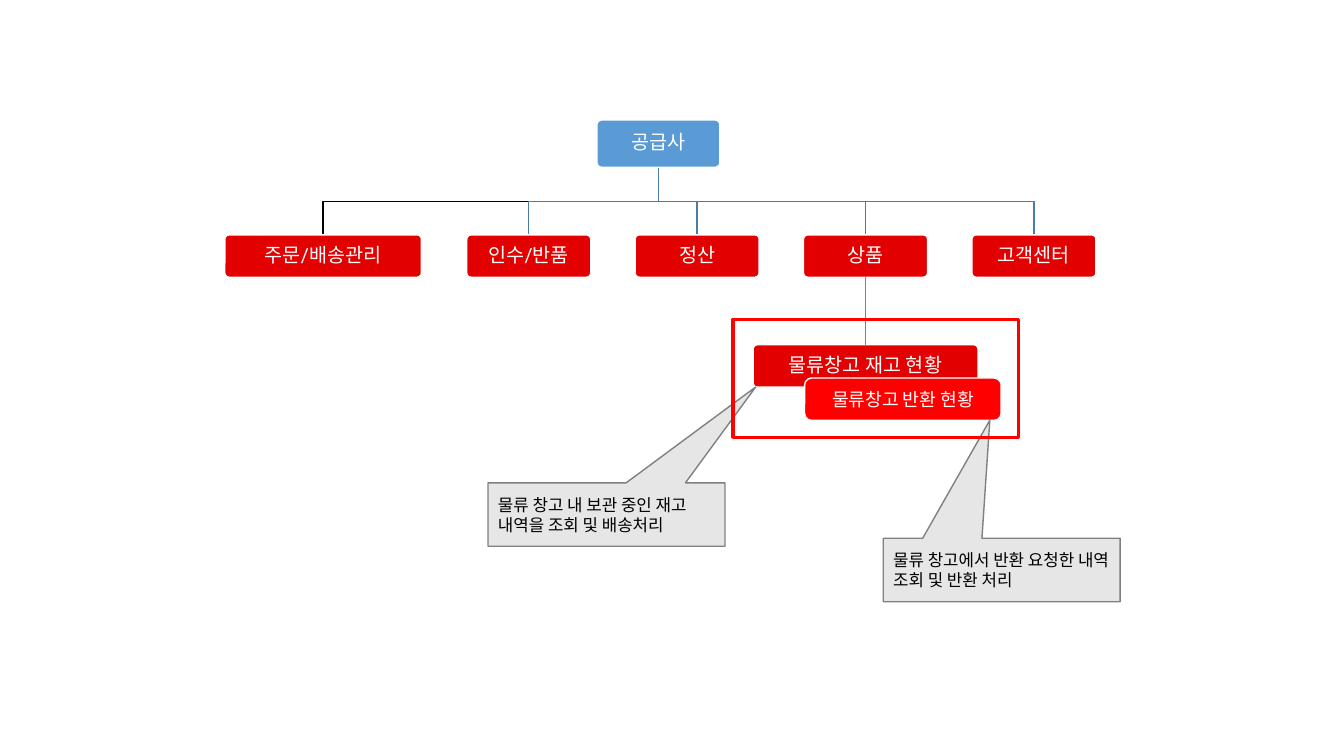
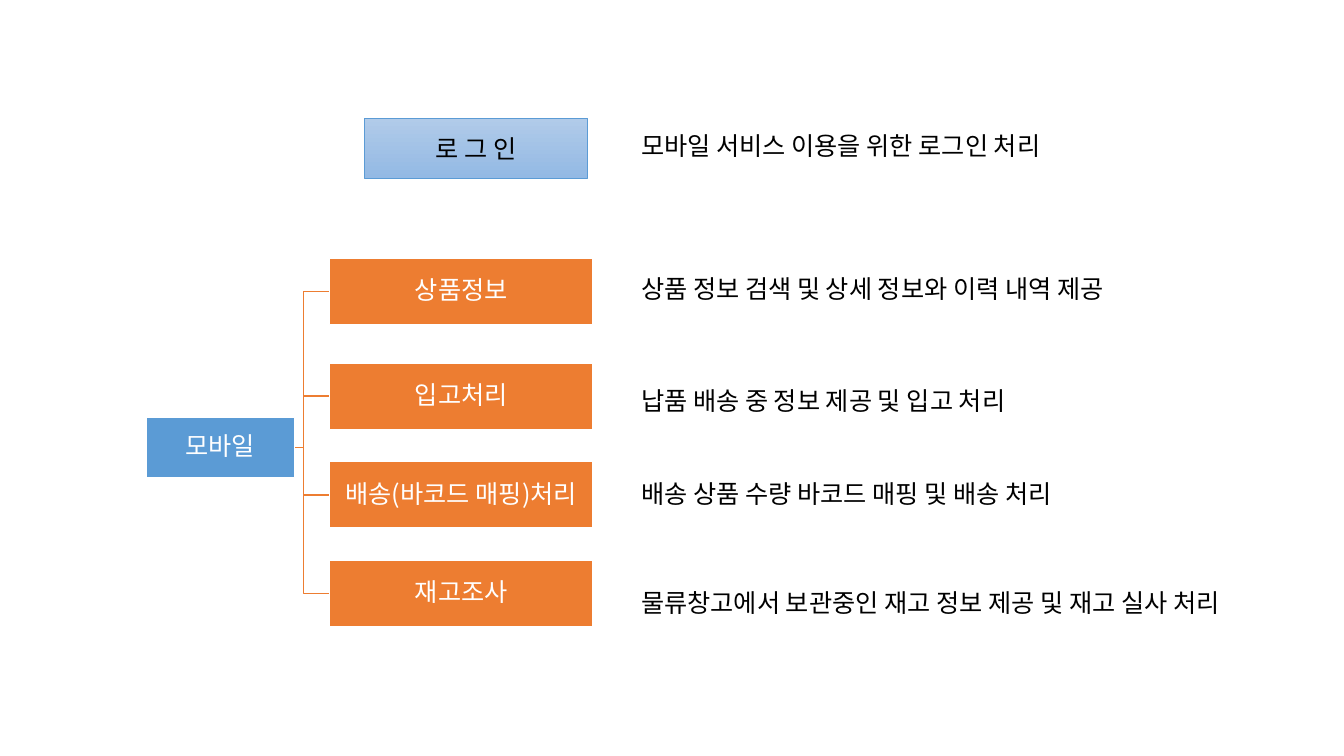
from lxml.etree import SubElement
from pptx import Presentation
from pptx.dml.color import RGBColor
from pptx.enum.shapes import MSO_CONNECTOR as Connector, MSO_SHAPE as Shape
from pptx.enum.text import MSO_ANCHOR as Anchor, MSO_AUTO_SIZE as AutoSize, PP_ALIGN as Align
from pptx.oxml.ns import qn
from pptx.util import Emu, Pt

EMU_PER_PX = 9144
COLORS = {
    "white": "FFFFFF", "black": "000000", "blue": "5B9BD5", "menu": "E20000",
    "red": "FF0000", "branch": "497CAB", "stem": "538DC1", "orange": "ED7D31",
    "note": "E7E6E6", "note_line": "808080", "pale_top": "B1CBE9", "pale_bottom": "93B9E4",
}
KOREAN = "Noto Sans CJK KR"
LATIN = "Roboto"


def px(length):
    """Turn pixels into EMU."""
    return Emu(round(length * EMU_PER_PX))


def rgb(name):
    """Look up a named colour."""
    return RGBColor.from_string(COLORS[name])


def style_line(shape, color, width=1):
    """Set the colour and the width of an outline."""
    shape.line.color.rgb = rgb(color)
    shape.line.width = Pt(width)


def write(frame, text, size, color, font=KOREAN, align=Align.CENTER, spacing=None):
    """Write one paragraph into a text frame."""
    paragraph = frame.paragraphs[0]
    paragraph.text = text
    paragraph.alignment = align
    paragraph.line_spacing = spacing
    paragraph.font.size = Pt(size)
    paragraph.font.color.rgb = rgb(color)
    paragraph.font.name = font
    properties = paragraph._p.get_or_add_pPr().find(qn("a:defRPr"))
    SubElement(properties, qn("a:ea"), typeface=KOREAN)


def add_box(slide, kind, bounds, fill=None, line="white", width=1, adjustments=()):
    """Add a preset shape without shadow."""
    shape = slide.shapes.add_shape(kind, *map(px, bounds))
    shape.shadow.inherit = False
    if fill:
        shape.fill.solid()
        shape.fill.fore_color.rgb = rgb(fill)
    else:
        shape.fill.background()
    style_line(shape, line, width)
    for index, value in enumerate(adjustments):
        shape.adjustments[index] = value
    shape.text_frame.word_wrap = True
    shape.text_frame.vertical_anchor = Anchor.MIDDLE
    return shape


def add_node(slide, kind, bounds, text, fill, size, font, inset):
    """Add a labelled box of a tree."""
    adjustments = (0.1,) if kind == Shape.ROUNDED_RECTANGLE else ()
    node = add_box(slide, kind, bounds, fill, adjustments=adjustments)
    frame = node.text_frame
    frame.margin_left = frame.margin_right = frame.margin_top = frame.margin_bottom = px(inset)
    write(frame, text, size, "white", font, spacing=0.9)
    return node


def add_elbow(slide, points, color):
    """Add an open bent line through the points."""
    start, *rest = [(px(x), px(y)) for x, y in points]
    builder = slide.shapes.build_freeform(*start)
    builder.add_line_segments(rest, close=False)
    elbow = builder.convert_to_shape()
    elbow.shadow.inherit = False
    elbow.fill.background()
    style_line(elbow, color)


def add_stem(slide, upper, lower, color):
    """Join the bottom of one box to the top of another."""
    stem = slide.shapes.add_connector(Connector.STRAIGHT, 0, 0, 0, 0)
    stem.begin_connect(upper, 2)
    stem.end_connect(lower, 0)
    style_line(stem, color)
    SubElement(stem._element.spPr, qn("a:effectLst"))


def add_callout(slide, left, top, tip, text):
    """Add a grey callout pointing at a box."""
    callout = add_box(slide, Shape.RECTANGULAR_CALLOUT, (left, top, 235, 63),
                      "note", "note_line", adjustments=tip)
    write(callout.text_frame, text, 12, "black", align=Align.LEFT)


def add_caption(slide, top, width, text):
    """Add a one-line description to the right of the boxes."""
    box = slide.shapes.add_textbox(px(626), px(top), px(width), px(40))
    box.text_frame.word_wrap = False
    box.text_frame.auto_size = AutoSize.SHAPE_TO_FIT_TEXT
    write(box.text_frame, text, 18, "black", align=Align.LEFT)


def build_supplier(slide):
    """Build the supplier menu tree."""
    def node(bounds, text, fill="menu"):
        """Add a rounded menu box."""
        return add_node(slide, Shape.ROUNDED_RECTANGLE, bounds, text, fill, 14, LATIN, 6)

    menus = [(223, 195, "주문/배송관리")]
    labels = ("인수/반품", "정산", "상품", "고객센터")
    menus += [(463 + 167 * index, 123, label) for index, label in enumerate(labels)]
    for left, width, label in menus:
        center = left + width / 2
        color = "black" if left == menus[0][0] else "branch"
        add_elbow(slide, [(653, 166), (653, 200), (center, 200), (center, 233)], color)
    node((592, 119, 122, 47), "공급사", "blue")
    boxes = {label: node((left, 233, width, 42), label) for left, width, label in menus}
    stock = node((747, 342, 223, 42), "물류창고 재고 현황")
    add_stem(slide, boxes["상품"], stock, "stem")

    returns = add_box(slide, Shape.ROUNDED_RECTANGLE, (798, 375, 195, 42), "red")
    write(returns.text_frame, "물류창고 반환 현황", 13, "white")
    add_callout(slide, 484, 479, (0.63, -2.01), "물류 창고 내 보관 중인 재고 내역을 조회 및 배송처리")
    add_callout(slide, 876, 534, (-0.05, -2.36), "물류 창고에서 반환 요청한 내역 조회 및 반환 처리")
    add_box(slide, Shape.RECTANGLE, (727, 317, 283, 117), line="red", width=2.25)


def build_mobile(slide):
    """Build the mobile menu tree with descriptions."""
    def node(bounds, text, fill):
        """Add a square menu box."""
        return add_node(slide, Shape.RECTANGLE, bounds, text, fill, 18, KOREAN, 1)

    rows = [
        (256, "상품정보", 266, 546, "상품 정보 검색 및 상세 정보와 이력 내역 제공"),
        (360, "입고처리", 377, 436, "납품 배송 중 정보 제공 및 입고 처리"),
        (458, "배송(바코드 매핑)처리", 470, 487, "배송 상품 수량 바코드 매핑 및 배송 처리"),
        (556, "재고조사", 578, 672, "물류창고에서 보관중인 재고 정보 제공 및 재고 실사 처리"),
    ]
    for top, label, caption_top, caption_width, caption in rows:
        middle = top + 33
        add_elbow(slide, [(293, 444), (301, 444), (301, middle), (327, middle)], "orange")
        node((327, top, 261, 66), label, "orange")
        add_caption(slide, caption_top, caption_width, caption)
    node((145, 414, 147, 60), "모바일", "blue")

    login = add_box(slide, Shape.RECTANGLE, (361, 117, 222, 60), line="blue", width=0.5)
    login.fill.gradient()
    login.fill.gradient_angle = 270
    for stop, color in zip(login.fill.gradient_stops, ("pale_top", "pale_bottom")):
        stop.color.rgb = rgb(color)
    write(login.text_frame, "로 그 인", 18, "black")
    add_caption(slide, 124, 469, "모바일 서비스 이용을 위한 로그인 처리")


def main():
    """Build and save the presentation."""
    presentation = Presentation()
    presentation.slide_width = px(1333)
    presentation.slide_height = px(750)
    for build in (build_supplier, build_mobile):
        build(presentation.slides.add_slide(presentation.slide_layouts[6]))
    presentation.save("out.pptx")


if __name__ == "__main__":
    main()
